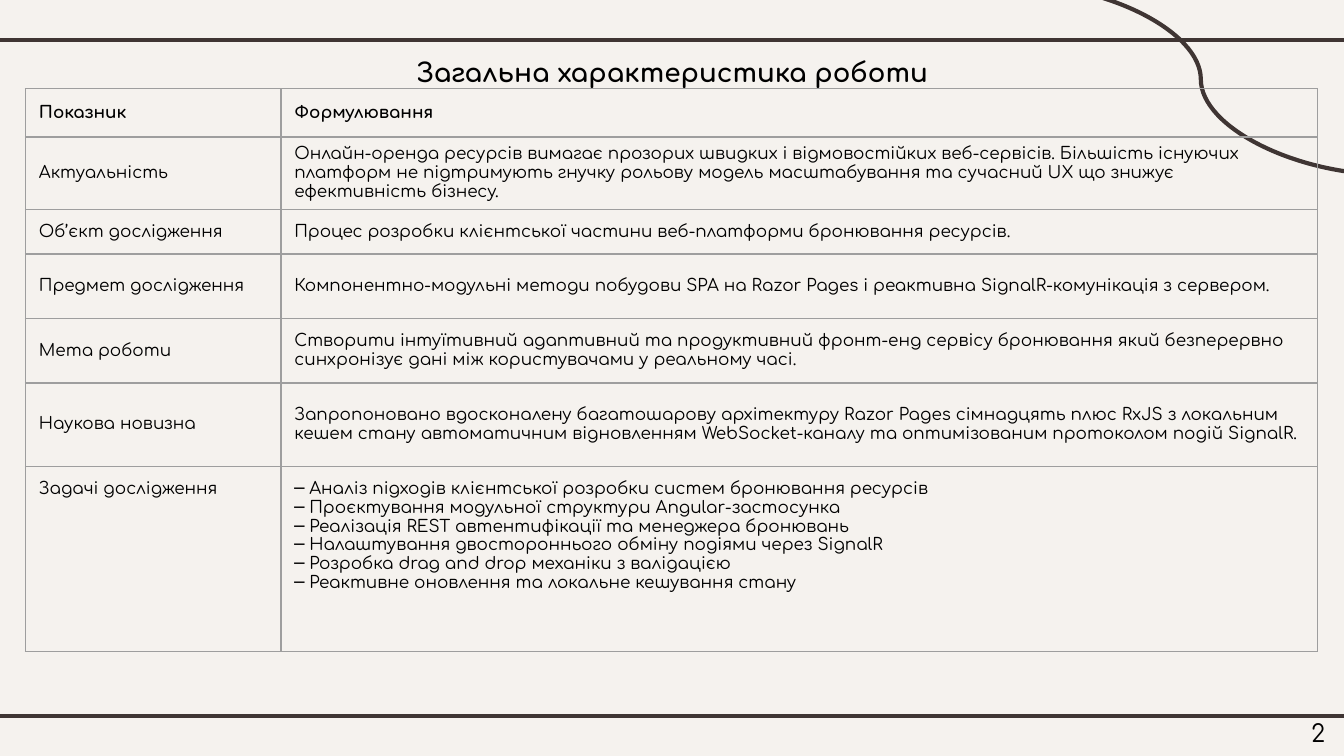
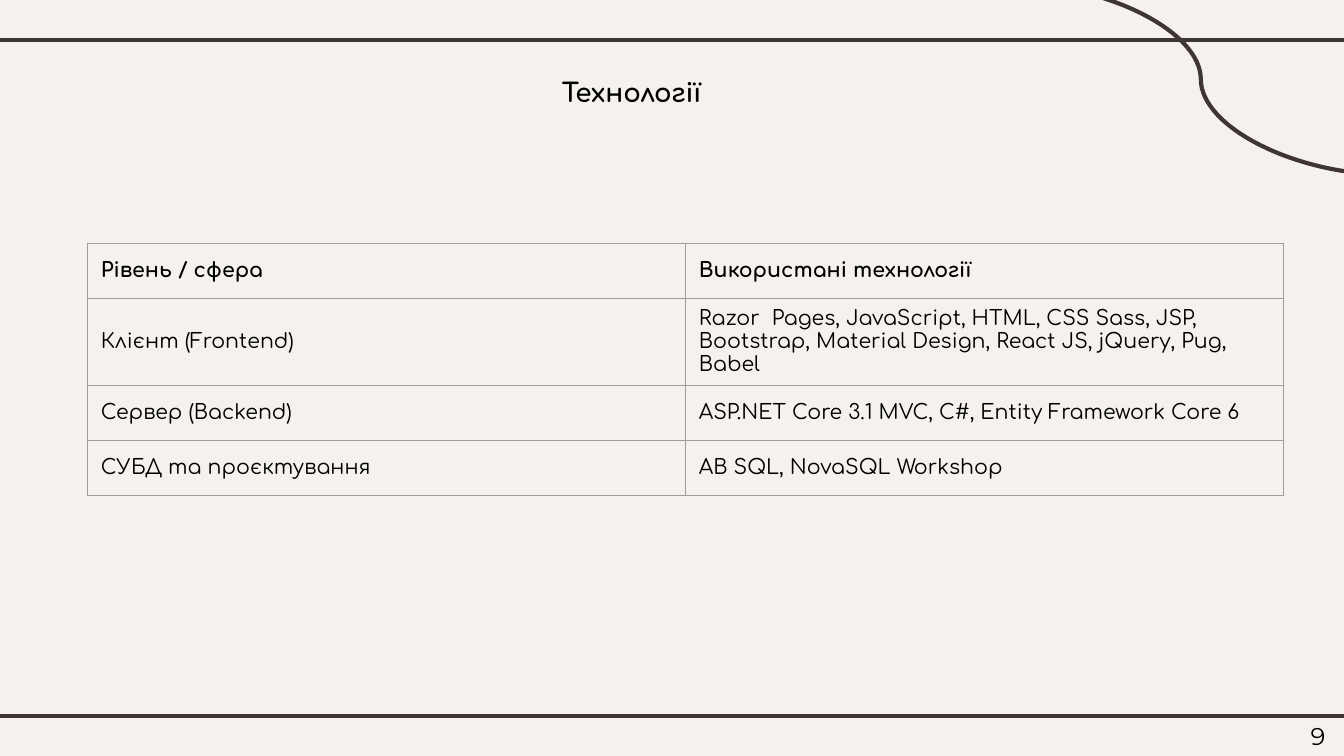
from dataclasses import dataclass

from lxml import etree
from pptx import Presentation
from pptx.dml.color import RGBColor
from pptx.enum import shapes, text
from pptx.oxml import ns
from pptx.util import Pt

# Content
SLIDES = [
    {
        "title": "Загальна характеристика роботи",
        "title_box": (250, 32, 501, 29),
        "number": "2",
        "number_box": (936, 524, 60, 43),
        "number_font": "Comfortaa",
        "table_at": (19, 66),
        "columns": (190, 771),
        "row_heights": (36, 54, 33, 48, 48, 62, 138),
        "size": 9,
        "rows": [
            ("Показник", "Формулювання"),
            ("Актуальність",
             "Онлайн-оренда ресурсів вимагає прозорих швидких і відмовостійких веб-сервісів. "
             "Більшість існуючих платформ не підтримують гнучку рольову модель масштабування "
             "та сучасний UX що знижує ефективність бізнесу."),
            ("Об’єкт дослідження",
             "Процес розробки клієнтської частини веб-платформи бронювання ресурсів."),
            ("Предмет дослідження",
             "Компонентно-модульні методи побудови SPA на Razor Pages і реактивна "
             "SignalR-комунікація з сервером."),
            ("Мета роботи",
             "Створити інтуїтивний адаптивний та продуктивний фронт-енд сервісу бронювання "
             "який безперервно синхронізує дані між користувачами у реальному часі."),
            ("Наукова новизна",
             "Запропоновано вдосконалену багатошарову архітектуру Razor Pages сімнадцять плюс "
             "RxJS з локальним кешем стану автоматичним відновленням WebSocket-каналу "
             "та оптимізованим протоколом подій SignalR."),
            ("Задачі дослідження",
             "─ Аналіз підходів клієнтської розробки систем бронювання ресурсів\n"
             "─ Проєктування модульної структури Angular-застосунка\n"
             "─ Реалізація REST автентифікації та менеджера бронювань\n"
             "─ Налаштування двостороннього обміну подіями через SignalR\n"
             "─ Розробка drag and drop механіки з валідацією\n"
             "─ Реактивне оновлення та локальне кешування стану"),
        ],
        "top_rows": {6},
    },
    {
        "title": "Технології",
        "title_box": (94, 47, 752, 44),
        "number": "9",
        "number_box": (936, 526, 60, 43),
        "number_font": "Montserrat",
        "table_at": (65, 181),
        "columns": (445, 445),
        "row_heights": (41, 65, 41, 41),
        "size": 11,
        "rows": [
            ("Рівень / сфера", "Використані технології"),
            ("Клієнт (Frontend)",
             "Razor  Pages, JavaScript, HTML, CSS Sass, JSP, Bootstrap, Material Design, "
             "React JS, jQuery, Pug, Babel"),
            ("Сервер (Backend)", "ASP.NET Core 3.1 MVC, C#, Entity Framework Core 6"),
            ("СУБД та проєктування", "AB SQL, NovaSQL Workshop"),
        ],
        "top_rows": set(),
    },
]

# Lines shared by all slides: kind, start x, start y, end x, end y
DECOR_LINES = [
    (shapes.MSO_CONNECTOR.STRAIGHT, -8, 30, 1008, 30),
    (shapes.MSO_CONNECTOR.STRAIGHT, -8, 533, 1008, 533),
    (shapes.MSO_CONNECTOR.CURVE, 753, -12, 1034, 130),
]


@dataclass(frozen=True)
class Theme:
    background: str = "F5F2EE"
    line: str = "3F3533"
    border: str = "9E9E9E"
    ink: str = "000000"
    font: str = "Comfortaa"
    title_size: int = 14
    number_size: int = 13
    line_width: float = 2.25
    border_width: float = 0.75


THEME = Theme()
EMU_PER_PX = 9144  # 100 px to the inch
SLIDE_WIDTH = 1000
INSET = 10
TITLE_ONLY = 5


def px(*lengths):
    return [length * EMU_PER_PX for length in lengths]


def write_text(frame, content, *, size, font=THEME.font, bold=False,
               align=text.PP_ALIGN.LEFT):
    frame.word_wrap = True
    frame.text = content
    for paragraph in frame.paragraphs:
        paragraph.alignment = align
        for run in paragraph.runs:
            run.font.name = font
            run.font.size = Pt(size)
            run.font.bold = bold
            run.font.color.rgb = RGBColor.from_string(THEME.ink)


def set_insets(target):
    """Give a text frame or a table cell equal insets."""
    for side in ("left", "top", "right", "bottom"):
        setattr(target, f"margin_{side}", px(INSET)[0])


def place_text_box(shape, box, anchor):
    shape.left, shape.top, shape.width, shape.height = px(*box)
    frame = shape.text_frame
    set_insets(frame)
    frame.auto_size = text.MSO_AUTO_SIZE.NONE
    frame.vertical_anchor = anchor
    return frame


def draw_border(cell):
    properties = cell._tc.get_or_add_tcPr()
    for side in ("a:lnL", "a:lnR", "a:lnT", "a:lnB"):
        line = etree.SubElement(properties, ns.qn(side), w=str(Pt(THEME.border_width)))
        fill = etree.SubElement(line, ns.qn("a:solidFill"))
        etree.SubElement(fill, ns.qn("a:srgbClr"), val=THEME.border)


def add_table(slide, content):
    columns, heights = content["columns"], content["row_heights"]
    table = slide.shapes.add_table(
        len(heights), len(columns),
        *px(*content["table_at"], sum(columns), sum(heights))).table
    table.first_row = table.horz_banding = False
    for column, width in zip(table.columns, px(*columns)):
        column.width = width
    for index, (row, height) in enumerate(zip(table.rows, px(*heights))):
        row.height = height
        for cell, words in zip(row.cells, content["rows"][index]):
            draw_border(cell)
            cell.fill.background()
            cell.vertical_anchor = text.MSO_ANCHOR.MIDDLE
            if index in content["top_rows"]:
                cell.vertical_anchor = text.MSO_ANCHOR.TOP
                set_insets(cell)
            write_text(cell.text_frame, words, size=content["size"], bold=index == 0)


def decorate_layout(layout, slide):
    """Draw the shared background and lines, and keep them on the layout."""
    layout.background.fill.solid()
    layout.background.fill.fore_color.rgb = RGBColor.from_string(THEME.background)
    for shape_id, (kind, *ends) in enumerate(DECOR_LINES, start=20):
        connector = slide.shapes.add_connector(kind, *px(*ends))
        connector.line.color.rgb = RGBColor.from_string(THEME.line)
        connector.line.width = Pt(THEME.line_width)
        element = connector.element
        etree.SubElement(element.spPr, ns.qn("a:effectLst"))
        element.nvCxnSpPr.cNvPr.set("id", str(shape_id))
        layout.shapes.element.append(element)


def build_slide(slide, content):
    # Title
    frame = place_text_box(slide.shapes.title, content["title_box"], text.MSO_ANCHOR.TOP)
    write_text(frame, content["title"], size=THEME.title_size, bold=True,
               align=text.PP_ALIGN.CENTER)
    # Slide number
    box = content["number_box"]
    number = slide.shapes.add_textbox(*px(*box))
    frame = place_text_box(number, box, text.MSO_ANCHOR.MIDDLE)
    write_text(frame, content["number"], size=THEME.number_size,
               font=content["number_font"], align=text.PP_ALIGN.RIGHT)
    # Table
    add_table(slide, content)


def main():
    presentation = Presentation()
    presentation.slide_width = px(SLIDE_WIDTH)[0]
    presentation.slide_height = presentation.slide_width * 9 // 16
    layout = presentation.slide_layouts[TITLE_ONLY]
    for index, content in enumerate(SLIDES):
        slide = presentation.slides.add_slide(layout)
        if index == 0:
            decorate_layout(layout, slide)
        build_slide(slide, content)
    presentation.save("out.pptx")


if __name__ == "__main__":
    main()
